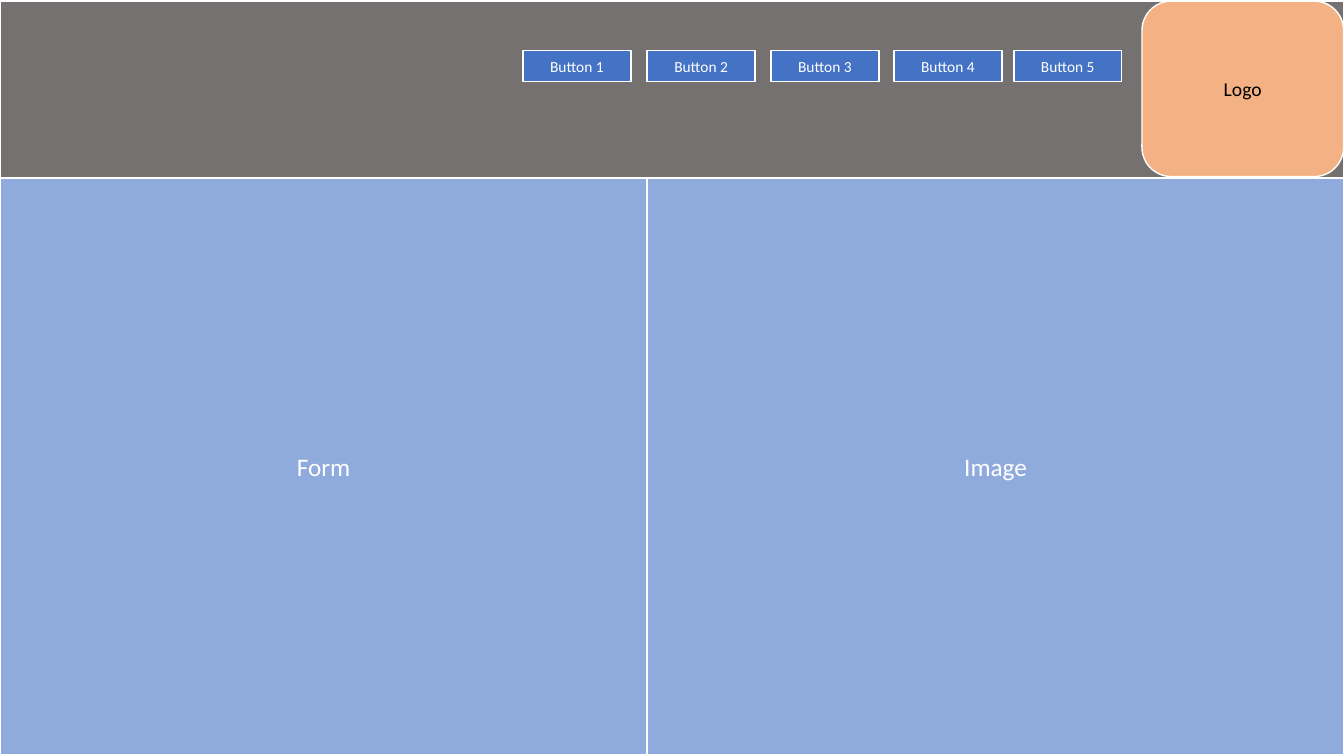
"""Build a web page wireframe slide with a header, buttons and two panels."""
from dataclasses import dataclass

import pptx
import pptx.dml.color
import pptx.enum.shapes
import pptx.enum.text
import pptx.shapes.autoshape
import pptx.slide
import pptx.util

Cm = pptx.util.Cm
Shapes = pptx.enum.shapes.MSO_SHAPE


@dataclass(frozen=True)
class Theme:
    font: str = "Calibri"
    header: str = "767171"
    panel: str = "8FAADC"
    logo: str = "F4B183"
    button: str = "4472C4"
    light: str = "FFFFFF"
    dark: str = "000000"
    panel_size: int = 18
    logo_size: int = 14
    button_size: int = 11
    outline: int = 1


THEME = Theme()


@dataclass(frozen=True)
class Block:
    left: float
    top: float
    width: float
    height: float
    fill: str
    label: str = ""
    size: int = THEME.panel_size
    color: str = THEME.light
    outline_shape: Shapes = Shapes.RECTANGLE


def rgb(value: str) -> pptx.dml.color.RGBColor:
    return pptx.dml.color.RGBColor.from_string(value)


def write_text(block: pptx.shapes.autoshape.Shape, text: str, *, size: int, color: str) -> None:
    frame = block.text_frame
    frame.word_wrap = True
    frame.vertical_anchor = pptx.enum.text.MSO_ANCHOR.MIDDLE
    paragraph = frame.paragraphs[0]
    paragraph.alignment = pptx.enum.text.PP_ALIGN.CENTER
    run = paragraph.add_run()
    run.text = text
    run.font.name = THEME.font
    run.font.size = pptx.util.Pt(size)
    run.font.color.rgb = rgb(color)


def draw_block(slide: pptx.slide.Slide, block: Block) -> None:
    drawn = slide.shapes.add_shape(
        block.outline_shape, Cm(block.left), Cm(block.top), Cm(block.width), Cm(block.height)
    )
    drawn.shadow.inherit = False
    drawn.fill.solid()
    drawn.fill.fore_color.rgb = rgb(block.fill)
    drawn.line.color.rgb = rgb(THEME.light)
    drawn.line.width = pptx.util.Pt(THEME.outline)
    if block.label:
        write_text(drawn, block.label, size=block.size, color=block.color)


def main() -> None:
    page_width, split = 33.87, 16.31
    panel_top, panel_height = 4.5, 14.53
    header = Block(0, 0.03, page_width, 4.45, THEME.header)
    image = Block(split, panel_top, page_width - split, panel_height, THEME.panel, "Image")
    logo = Block(28.78, 0.03, 5.08, 4.42, THEME.logo, "Logo",
                 THEME.logo_size, THEME.dark, Shapes.ROUNDED_RECTANGLE)
    button_lefts = (13.18, split, 19.43, 22.53, 25.55)
    buttons = [
        Block(left, 1.27, 2.72, 0.79, THEME.button, f"Button {number}", THEME.button_size)
        for number, left in enumerate(button_lefts, start=1)
    ]
    form = Block(0, panel_top, split, panel_height, THEME.panel, "Form")

    presentation = pptx.Presentation()
    presentation.slide_width = Cm(page_width)
    presentation.slide_height = Cm(19.05)
    slide = presentation.slides.add_slide(presentation.slide_layouts[6])
    for block in (header, image, logo, *reversed(buttons), form):
        draw_block(slide, block)
    presentation.save("out.pptx")


if __name__ == "__main__":
    main()
